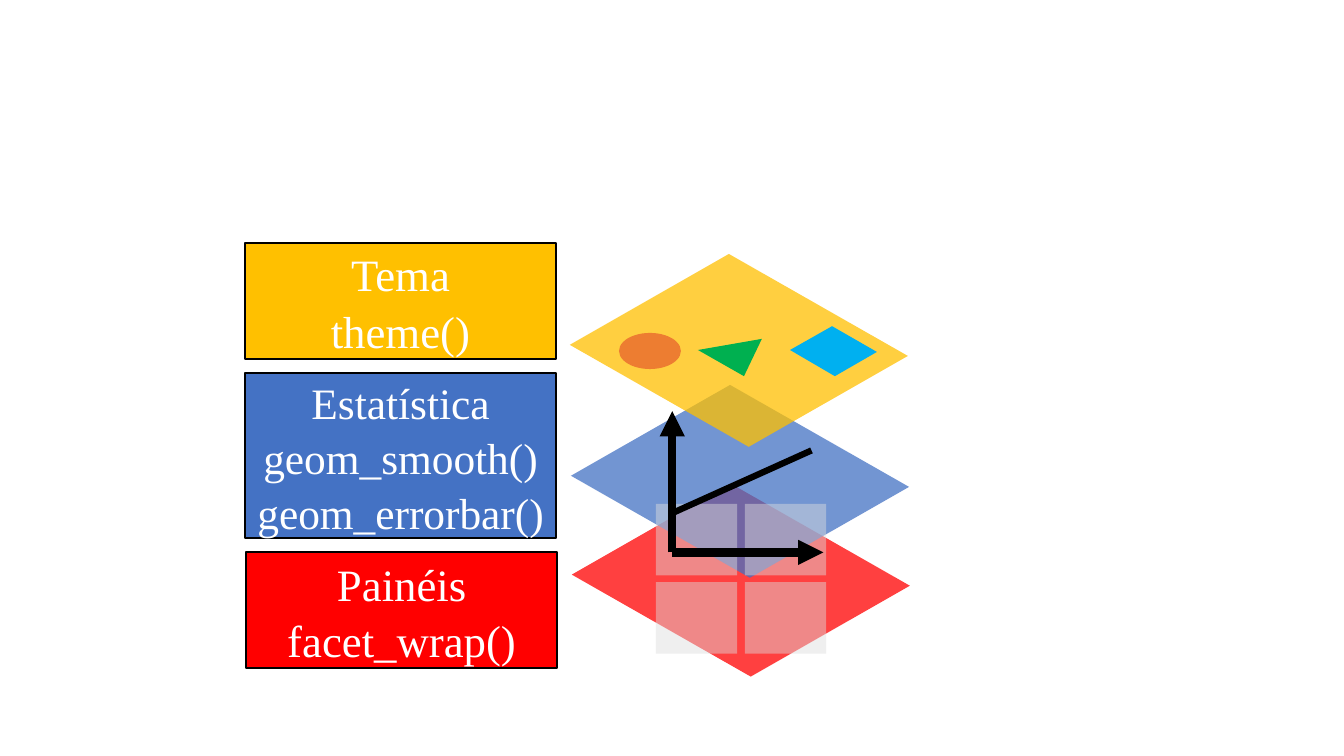
from dataclasses import dataclass

from lxml import etree
from pptx import Presentation
from pptx import util as u
from pptx.dml import color
from pptx.enum import shapes, text
from pptx.oxml import ns

COLORS = {
    "yellow": "FFC000", "blue": "4472C4", "red": "FF0000", "grey": "DDDDDD",
    "orange": "ED7D31", "green": "00B050", "sky": "00B0F0",
    "black": "000000", "white": "FFFFFF",
}
PLANE_OPACITY = 75
PANEL_OPACITY = 46
Point = tuple[float, float]


@dataclass
class Label:
    left: float
    top: float
    height: float
    fill: str
    size: int
    lines: list[str]


@dataclass
class Plane:
    left: float
    top: float
    fill: str


@dataclass
class Stroke:
    start: Point
    end: Point
    weight: float
    arrow: bool


@dataclass
class Marker:
    points: list[Point]
    fill: str


LABELS = [
    Label(6.17, 6.12, 2.92, "yellow", 32, ["Tema", "theme()"]),
    Label(6.17, 9.4, 4.17, "blue", 31,
          ["Estatística", "geom_smooth()", "geom_errorbar()"]),
    Label(6.2, 13.92, 2.92, "red", 32, ["Painéis", "facet_wrap()"]),
]
LABEL_WIDTH = 7.85

THEME_PLANE = Plane(14.36, 6.4, "yellow")
STATISTICS_PLANE = Plane(14.39, 9.7, "blue")
FACETS_PLANE = Plane(14.41, 12.19, "red")
PLANE_CORNERS = [(0, 2.29), (4.01, 0), (8.52, 2.57), (4.51, 4.86)]

ORIGIN = (16.94, 13.92)
STROKES = [
    Stroke(ORIGIN, (16.94, 10.36), 6, True),
    Stroke(ORIGIN, (20.75, 13.92), 6, True),
    Stroke((16.94, 12.93), (20.45, 11.35), 4.5, False),
]
MARKERS = [
    Marker([(17.59, 8.82), (19.2, 8.54), (18.75, 9.48)], "green"),
    Marker([(19.91, 8.82), (20.97, 8.22), (22.1, 8.87), (21.04, 9.48)], "sky"),
]

LABEL_FRAME = {
    "word_wrap": False, "vertical_anchor": text.MSO_ANCHOR.MIDDLE,
    "margin_top": 0, "margin_bottom": 0,
}
LABEL_PARAGRAPH = {"alignment": text.PP_ALIGN.CENTER, "line_spacing": 1.05}
LABEL_FONT = {"name": "Times New Roman"}


def rgb(name: str) -> color.RGBColor:
    return color.RGBColor.from_string(COLORS[name])


def apply_format(target, values: dict) -> None:
    for name, value in values.items():
        setattr(target, name, value)


def paint(shape, fill: str, opacity: int = 100) -> None:
    """Give a shape a flat fill without outline or shadow."""
    shape.shadow.inherit = False
    shape.fill.solid()
    shape.fill.fore_color.rgb = rgb(fill)
    shape.line.fill.background()
    if opacity < 100:
        tint = shape.fill._xPr.find(".//" + ns.qn("a:srgbClr"))
        etree.SubElement(tint, ns.qn("a:alpha"), val=str(opacity * 1000))


def add_preset(page, kind, left: float, top: float, width: float,
               height: float, fill: str, opacity: int = 100):
    shape = page.shapes.add_shape(
        kind, u.Cm(left), u.Cm(top), u.Cm(width), u.Cm(height))
    paint(shape, fill, opacity)
    return shape


def add_polygon(page, points: list[Point], fill: str, opacity: int = 100) -> None:
    corners = [(u.Cm(x), u.Cm(y)) for x, y in points]
    builder = page.shapes.build_freeform(*corners[0])
    builder.add_line_segments(corners[1:], close=True)
    paint(builder.convert_to_shape(), fill, opacity)


def add_plane(page, plane: Plane) -> None:
    points = [(plane.left + x, plane.top + y) for x, y in PLANE_CORNERS]
    add_polygon(page, points, plane.fill, PLANE_OPACITY)


def add_label(page, label: Label) -> None:
    box = add_preset(page, shapes.MSO_SHAPE.RECTANGLE, label.left, label.top,
                     LABEL_WIDTH, label.height, label.fill)
    box.line.color.rgb = rgb("black")
    box.line.width = u.Pt(1.5)
    frame = box.text_frame
    apply_format(frame, LABEL_FRAME)
    for index, line in enumerate(label.lines):
        para = frame.add_paragraph() if index else frame.paragraphs[0]
        apply_format(para, LABEL_PARAGRAPH)
        span = para.add_run()
        span.text = line
        apply_format(span.font, LABEL_FONT | {"size": u.Pt(label.size)})
        span.font.color.rgb = rgb("white")


def add_stroke(page, stroke: Stroke) -> None:
    ends = [u.Cm(value) for value in stroke.start + stroke.end]
    line = page.shapes.add_connector(shapes.MSO_CONNECTOR.STRAIGHT, *ends)
    line.line.color.rgb = rgb("black")
    line.line.width = u.Pt(stroke.weight)
    if stroke.arrow:
        etree.SubElement(line.line._get_or_add_ln(), ns.qn("a:tailEnd"),
                         type="triangle")
    etree.SubElement(line._element.spPr, ns.qn("a:effectLst"))


deck = Presentation()
deck.slide_width, deck.slide_height = u.Cm(33.87), u.Cm(19.05)
page = deck.slides.add_slide(deck.slide_layouts[6])

# Facets plane and the labels beside the stack
add_plane(page, FACETS_PLANE)
for label in LABELS:
    add_label(page, label)

# Statistics plane and the two-by-two facet panels
add_plane(page, STATISTICS_PLANE)
for row in range(2):
    for column in range(2):
        add_preset(page, shapes.MSO_SHAPE.RECTANGLE, 16.53 + 2.24 * column,
                   12.7 + 1.97 * row, 2.05, 1.8, "grey", PANEL_OPACITY)

# Axes and trend line
for stroke in STROKES:
    add_stroke(page, stroke)

# Theme plane with its markers
add_plane(page, THEME_PLANE)
add_preset(page, shapes.MSO_SHAPE.OVAL, 15.6, 8.39, 1.56, 0.91, "orange")
for marker in MARKERS:
    add_polygon(page, marker.points, marker.fill)

deck.save("out.pptx")
